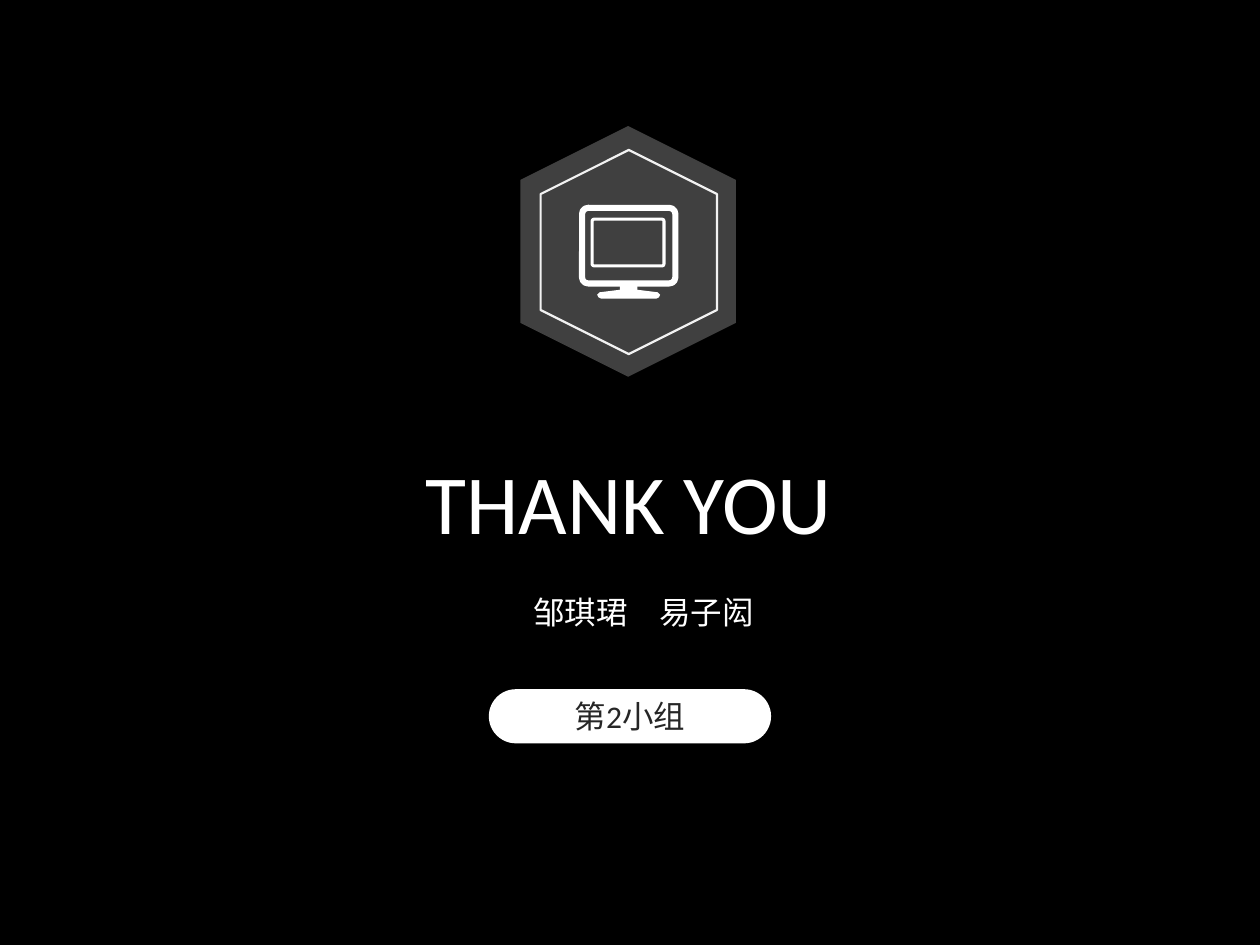
import pptx
import pptx.util
import pptx.dml.color
import pptx.enum.shapes
import pptx.enum.text

Inches = pptx.util.Inches
Pt = pptx.util.Pt
KIND = pptx.enum.shapes.MSO_SHAPE
WHITE = "FFFFFF"


def paint(fmt, color):
    """Give a fill or font colour format a solid hex colour."""
    if hasattr(fmt, "solid"):
        fmt.solid()
        fmt = fmt.fore_color
    fmt.rgb = pptx.dml.color.RGBColor.from_string(color)


def write(shape, text, size, color):
    para = shape.text_frame.paragraphs[0]
    para.alignment = pptx.enum.text.PP_ALIGN.CENTER
    run = para.add_run()
    run.text = text
    run.font.name = "Calibri"
    run.font.size = Pt(size)
    paint(run.font.color, color)
    return para


deck = pptx.Presentation()
deck.slide_width, deck.slide_height = Inches(10), Inches(7.5)
slide = deck.slides.add_slide(deck.slide_layouts[6])
paint(slide.background.fill, "000000")
shapes = slide.shapes

# Badge, computer frame, screen and name pill:
# kind, left, top, width, height, turn, corner, fill, line, line width
parts = [
    (KIND.HEXAGON, 3.99, 1.14, 1.99, 1.71, 90, 0.25, "404040", None, 0),
    (KIND.HEXAGON, 4.18, 1.3, 1.62, 1.4, 90, 0.25, None, "F2F2F2", 1.25),
    (KIND.ROUNDED_RECTANGLE, 4.62, 1.65, 0.74, 0.6, 0, 0.08, None, WHITE, 3.5),
    (KIND.ROUNDED_RECTANGLE, 4.7, 1.74, 0.57, 0.37, 0, 0.04, None, WHITE, 1.75),
    (KIND.ROUNDED_RECTANGLE, 3.88, 5.47, 2.24, 0.43, 0, 0.5, WHITE, None, 0),
]
for kind, left, top, width, height, turn, corner, fill, line, weight in parts:
    shape = shapes.add_shape(kind, Inches(left), Inches(top),
                             Inches(width), Inches(height))
    shape.shadow.inherit = False
    shape.rotation = turn
    shape.adjustments[0] = corner
    if fill:
        paint(shape.fill, fill)
    else:
        shape.fill.background()
    if line:
        paint(shape.line.fill, line)
        shape.line.width = Pt(weight)
    else:
        shape.line.fill.background()

pill = shape
pill.text_frame.vertical_anchor = pptx.enum.text.MSO_ANCHOR.MIDDLE
write(pill, "第2小组", 18, "262626")

# Stand of the computer, mirrored about its centre line
mid = 4.99
half = [(0.07, 2.26), (0.07, 2.3), (0.23, 2.32), (0.25, 2.34),
        (0.24, 2.36), (0.22, 2.37)]
right = [(Inches(mid + x), Inches(y)) for x, y in half]
left = [(Inches(mid - x), Inches(y)) for x, y in reversed(half)]
pen = shapes.build_freeform(*right[0])
pen.add_line_segments(right[1:] + left, close=True)
stand = pen.convert_to_shape()
stand.shadow.inherit = False
paint(stand.fill, WHITE)
stand.line.fill.background()

title = shapes.add_textbox(Inches(2.89), Inches(3.53), Inches(4.2), Inches(0.91))
title.text_frame.word_wrap = False
write(title, "THANK YOU", 48, WHITE)

names = shapes.add_textbox(Inches(0.23), Inches(4.57), Inches(9.55), Inches(0.49))
names.text_frame.word_wrap = True
names.text_frame.margin_left = Inches(0.3)
write(names, "邹琪珺　易子闳", 18, WHITE).line_spacing = 1.3

deck.save("out.pptx")
